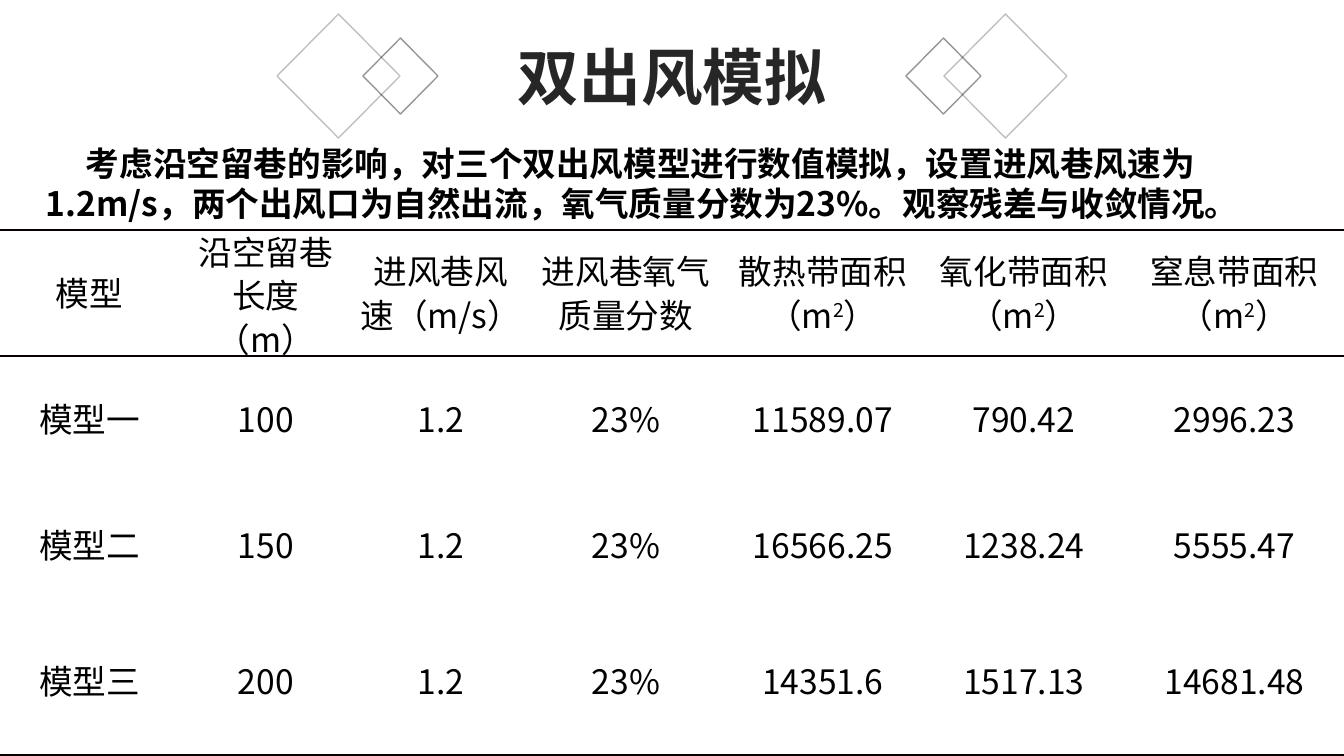
import pptx
import pptx.util
import pptx.dml.color
import pptx.enum.shapes
import pptx.enum.text
import pptx.oxml
import pptx.oxml.ns

TITLE = "双出风模拟"
INTRO = ("考虑沿空留巷的影响，对三个双出风模型进行数值模拟，设置进风巷风速为1.2m/s，"
         "两个出风口为自然出流，氧气质量分数为23%。观察残差与收敛情况。")
ROWS = [
    ["模型", "沿空留巷长度（m）", "进风巷风速（m/s）", "进风巷氧气质量分数",
     ("散热带面积（m", "2", "）"), ("氧化带面积（m", "2", "）"), ("窒息带面积（m", "2", "）")],
    ["模型一", "100", "1.2", "23%", "11589.07", "790.42", "2996.23"],
    ["模型二", "150", "1.2", "23%", "16566.25", "1238.24", "5555.47"],
    ["模型三", "200", "1.2", "23%", "14351.6", "1517.13", "14681.48"],
]
WIDTHS = [179, 174, 176, 194, 200, 202, 219]
HEIGHTS = [126, 126, 126, 147]
RULES = [1.5, 1, 0, 0, 1.5]
DIAMONDS = [(277, 14, 123, 124, 27), (363, 38, 75, 76, 46)]
COLORS = {"title": "262626", "text": "000000", "rule": "080000", "frame": "1C1C1C"}
FONT = "Noto Sans CJK SC"
WIDE, HIGH = 1344, 756
CENTER = pptx.enum.text.PP_ALIGN.CENTER


def px(n):
    return pptx.util.Emu(round(n * 914400 / 100.8))


def style(para, size, color, bold=False, align=None):
    font = para.font
    font.size = pptx.util.Pt(size)
    font.bold = bold
    font.name = FONT
    font.color.rgb = pptx.dml.color.RGBColor.from_string(COLORS[color])
    east = pptx.oxml.parse_xml(f'<a:ea {pptx.oxml.ns.nsdecls("a")} typeface="{FONT}"/>')
    font._element.find(pptx.oxml.ns.qn("a:latin")).addnext(east)
    para.alignment = align


def write(box, text, size, color, align=None):
    frame = slide.shapes.add_textbox(*map(px, box)).text_frame
    frame.word_wrap = True
    para = frame.paragraphs[0]
    para.add_run().text = text
    style(para, size, color, True, align)
    return para


def diamond(x, y, w, h, alpha):
    kind = pptx.enum.shapes.MSO_SHAPE.DIAMOND
    shape = slide.shapes.add_shape(kind, px(x), px(y), px(w), px(h))
    shape.shadow.inherit = False
    shape.fill.background()
    shape.line.width = pptx.util.Pt(1)
    shape.line.color.rgb = pptx.dml.color.RGBColor.from_string(COLORS["frame"])
    tint = shape.line._ln.find(".//" + pptx.oxml.ns.qn("a:srgbClr"))
    tint.append(pptx.oxml.parse_xml(
        f'<a:alpha {pptx.oxml.ns.nsdecls("a")} val="{alpha * 1000}"/>'))


def border(cell, top, base):
    props = cell._tc.get_or_add_tcPr()
    for spot, (side, width) in enumerate(zip("LRTB", (0, 0, top, base))):
        paint = (f'<a:solidFill><a:srgbClr val="{COLORS["rule"]}"/></a:solidFill>'
                 if width else "<a:noFill/>")
        props.insert(spot, pptx.oxml.parse_xml(
            f'<a:ln{side} {pptx.oxml.ns.nsdecls("a")} w="{int(width * 12700)}">'
            f'{paint}</a:ln{side}>'))


def fill(cell, value):
    cell.fill.background()
    cell.vertical_anchor = pptx.enum.text.MSO_ANCHOR.MIDDLE
    cell.margin_left = cell.margin_right = px(7)
    cell.margin_top = cell.margin_bottom = 0
    para = cell.text_frame.paragraphs[0]
    parts = (value,) if isinstance(value, str) else value
    for spot, part in enumerate(parts):
        run = para.add_run()
        run.text = part
        if spot == 1:
            run._r.get_or_add_rPr().set("baseline", "30000")
    style(para, 24, "text", align=CENTER)
    para.line_spacing = 0.9


deck = pptx.Presentation()
deck.slide_width, deck.slide_height = px(WIDE), px(HIGH)
slide = deck.slides.add_slide(deck.slide_layouts[6])

for x, y, w, h, alpha in DIAMONDS:
    for left in (x, WIDE - x - w):
        diamond(left, y, w, h, alpha)

write((433, 34, 478, 85), TITLE, 44, "title", CENTER)
intro = write((36, 138, 1264, 92), INTRO, 24, "text")
intro._p.get_or_add_pPr().set("indent", str(px(40)))

table = slide.shapes.add_table(len(ROWS), len(WIDTHS), 0, px(230),
                               px(sum(WIDTHS)), px(sum(HEIGHTS))).table
table.first_row = table.horz_banding = False
for col, width in zip(table.columns, WIDTHS):
    col.width = px(width)
for r, (row, height) in enumerate(zip(ROWS, HEIGHTS)):
    table.rows[r].height = px(height)
    for c, value in enumerate(row):
        cell = table.cell(r, c)
        fill(cell, value)
        border(cell, RULES[r], RULES[r + 1])

deck.save("out.pptx")
